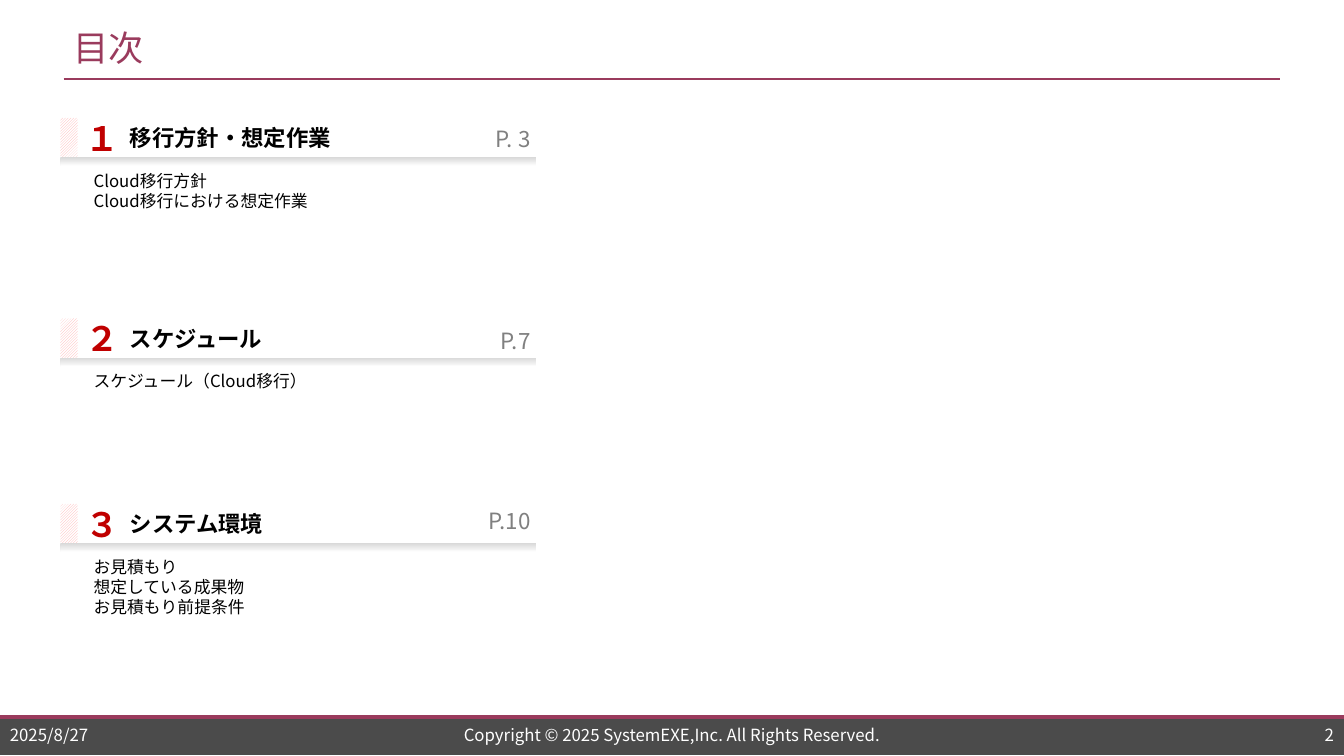
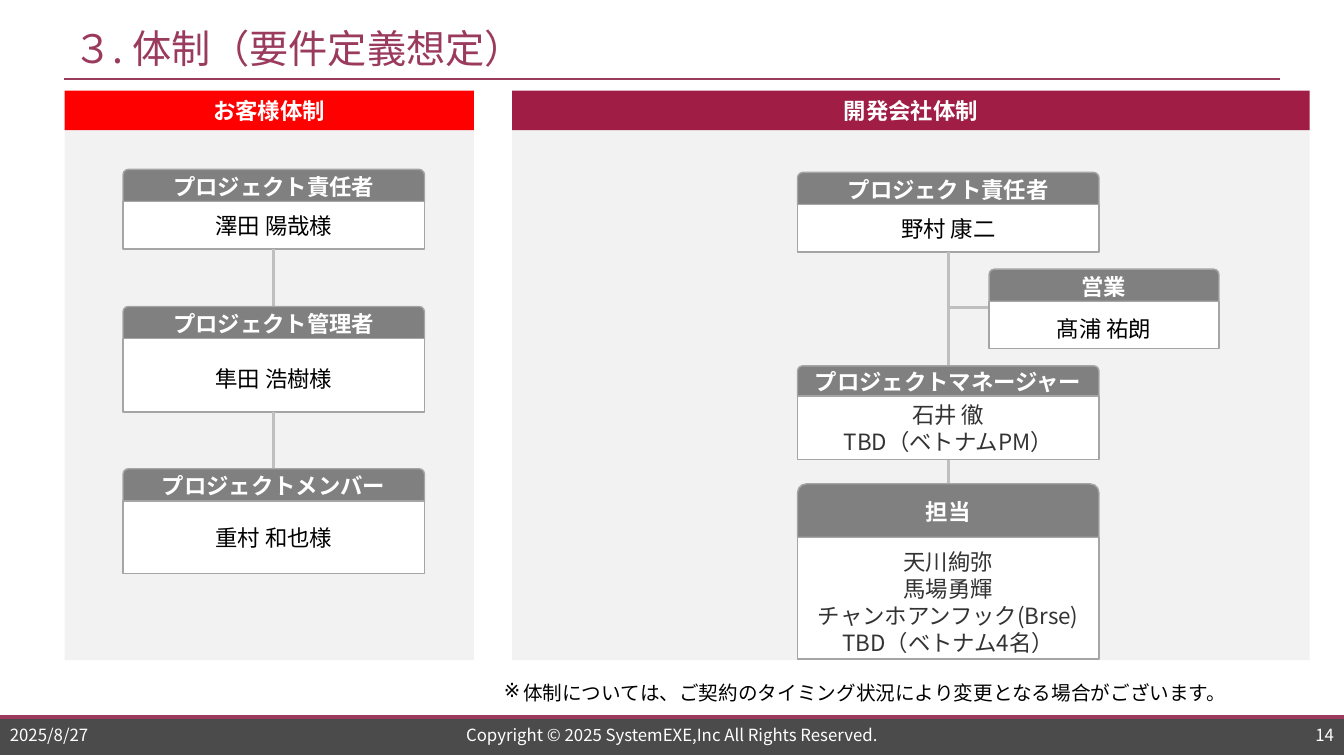
from dataclasses import dataclass

from lxml import etree
from pptx import Presentation
from pptx import util as u
from pptx.dml.color import RGBColor
from pptx.enum import dml, shapes, text
from pptx.oxml.ns import qn

ALIGN = text.PP_ALIGN
ANCHOR = text.MSO_ANCHOR
SHAPE = shapes.MSO_SHAPE


@dataclass(frozen=True)
class Theme:
    """Hold the colours, fonts and type sizes of the deck."""
    plum: str = "9A3B5D"
    crimson: str = "A01D45"
    red: str = "FF0000"
    number: str = "C00000"
    hatch: str = "FFAFAF"
    footer: str = "4B4B4B"
    panel: str = "F2F2F2"
    head: str = "808080"
    edge: str = "A5A5A5"
    link: str = "BFBFBF"
    shade: str = "D9D9D9"
    ink: str = "000000"
    soft_ink: str = "333333"
    white: str = "FFFFFF"
    sans: str = "Noto Sans CJK JP"
    latin: str = "Arial"
    title: float = 28
    numeral: float = 24
    label: float = 16
    note: float = 14
    small: float = 12
    leading: float = 1.2


T = Theme()


def rgb(value):
    """Turn a hex string into a colour."""
    return RGBColor.from_string(value)


def write(sp, lines, size, color, font=T.sans, bold=False, align=ALIGN.LEFT,
          anchor=ANCHOR.MIDDLE, insets=(0.1, 0.05, 0.1, 0.05), bullet=None):
    """Write one paragraph per line into a shape."""
    tf = sp.text_frame
    tf.word_wrap = True
    tf.vertical_anchor = anchor
    tf.margin_left, tf.margin_top, tf.margin_right, tf.margin_bottom = map(u.Inches, insets)
    for i, line in enumerate(lines):
        p = tf.add_paragraph() if i else tf.paragraphs[0]
        p.alignment = align
        if len(lines) > 1:
            p.line_spacing = u.Pt(size * T.leading)
        if bullet:
            pPr = p._p.get_or_add_pPr()
            pPr.set("marL", str(u.Inches(0.19)))
            pPr.set("indent", str(-u.Inches(0.19)))
            etree.SubElement(pPr, qn("a:buChar")).set("char", bullet)
        r = p.add_run()
        r.text = line
        r.font.size = u.Pt(size)
        r.font.bold = bold
        r.font.color.rgb = rgb(color)
        r.font.name = font
        r.font._element.find(qn("a:latin")).addnext(
            etree.Element(qn("a:ea"), typeface=T.sans))


def label(s, box, lines, size, color, **style):
    """Add a text box."""
    sp = s.shapes.add_textbox(*map(u.Inches, box))
    write(sp, lines, size, color, **style)
    return sp


def block(s, box, fill=None, edge=None, kind=SHAPE.RECTANGLE):
    """Add a flat shape."""
    sp = s.shapes.add_shape(kind, *map(u.Inches, box))
    sp.shadow.inherit = False
    if fill:
        sp.fill.solid()
        sp.fill.fore_color.rgb = rgb(fill)
    if edge:
        sp.line.color.rgb = rgb(edge)
        sp.line.width = u.Pt(1)
    else:
        sp.line.fill.background()
    return sp


def rule(s, start, end, color, width):
    """Add a straight line."""
    cx = s.shapes.add_connector(shapes.MSO_CONNECTOR.STRAIGHT,
                                *map(u.Inches, (*start, *end)))
    cx.line.color.rgb = rgb(color)
    cx.line.width = u.Pt(width)
    etree.SubElement(cx._element.spPr, qn("a:effectLst"))
    return cx


def new_slide(prs, title, title_size, notice, page):
    """Add a slide with its title, rules and footer."""
    s = prs.slides.add_slide(prs.slide_layouts[6])
    block(s, (0, 7.1, 13.33, 0.39), T.footer)
    rule(s, (0, 7.11), (13.33, 7.11), T.plum, 2.75)
    rule(s, (0.63, 0.78), (12.7, 0.78), T.plum, 1.5)
    label(s, (0.63, 0.2, 12.07, 0.55), [title], title_size, T.plum)
    for x, w, words, align in ((0, 1.57, "2025/8/27", ALIGN.LEFT),
                               (3.32, 6.69, notice, ALIGN.CENTER),
                               (11.76, 1.57, page, ALIGN.RIGHT)):
        label(s, (x, 7.17, w, 0.24), [words], T.small, T.white, align=align)
    return s


def chapter(s, x, y, number, name, page, page_shift, topics):
    """Draw one contents entry from its top left corner."""
    tab = block(s, (x, y, 0.17, 0.39))
    tab.fill.patterned()
    tab.fill.pattern = dml.MSO_PATTERN.DARK_UPWARD_DIAGONAL
    tab.fill.fore_color.rgb = rgb(T.hatch)
    tab.fill.back_color.rgb = rgb(T.white)
    label(s, (x + 0.15, y, 0.6, 0.39), [number], T.numeral, T.number, bold=True)
    label(s, (x + 0.59, y, 3, 0.39), [name], T.label, T.ink, font=T.latin, bold=True)
    shade = block(s, (x, y + 0.39, 4.72, 0.09))
    shade.fill.gradient()
    shade.fill.gradient_angle = 270
    for stop, color in zip(shade.fill.gradient_stops, (T.shade, T.white)):
        stop.color.rgb = rgb(color)
    label(s, (x + 0.23, y + 0.47, 4.5, 1.27), topics, T.small, T.ink, anchor=ANCHOR.TOP)
    label(s, (x + 3.76, y + page_shift, 1, 0.39), [page], T.label, T.head,
          align=ALIGN.RIGHT)


def panel(s, x, y, w, h, name, color):
    """Draw a team panel with its heading band."""
    block(s, (x, y + 0.38, w, h - 0.38), T.panel)
    write(block(s, (x, y, w, 0.39), color), [name], T.label, T.white,
          font=T.latin, bold=True, align=ALIGN.CENTER)


def card(s, box, role, names, head_h=0.32, ink=T.ink, pad=0.05):
    """Draw a role card and return its body."""
    x, y, w, h = box
    head = block(s, (x, y, w, head_h), T.head, T.edge, SHAPE.ROUND_2_SAME_RECTANGLE)
    write(head, [role], T.label, T.white, font=T.latin, bold=True,
          align=ALIGN.CENTER, insets=(0.04, 0.05, 0.04, 0.05))
    body = block(s, (x, y + head_h, w, h - head_h), T.white, T.edge)
    write(body, names, T.label, ink, font=T.latin if ink == T.ink else T.sans,
          align=ALIGN.CENTER, insets=(0.04, pad, 0.04, 0.05))
    return body


def chain(s, x, w, cards):
    """Draw a column of cards joined from top to bottom."""
    above = None
    for y, h, role, names, style in cards:
        if above is not None:
            mid = x + w / 2
            cx = rule(s, (mid, y - 0.1), (mid, y), T.link, 2.25)
            cx.begin_connect(above, 2)
        above = card(s, (x, y, w, h), role, names, **style)


def contents_slide(prs):
    """Build the table of contents."""
    s = new_slide(prs, "目次", 25.2,
                  "Copyright © 2025 SystemEXE,Inc. All Rights Reserved.", "2")
    for y, *entry in (
            (1.17, "１", "移行方針・想定作業", "P. 3", 0.01,
             ["Cloud移行方針", "Cloud移行における想定作業"]),
            (3.16, "２", "スケジュール", "P.7", 0.02, ["スケジュール（Cloud移行）"]),
            (5, "３", "システム環境", "P.10", -0.03,
             ["お見積もり", "想定している成果物", "お見積もり前提条件"])):
        chapter(s, 0.6, y, *entry)


def team_slide(prs):
    """Build the project organisation chart."""
    s = new_slide(prs, "３. 体制（要件定義想定）", T.title,
                  "Copyright © 2025 SystemEXE,Inc All Rights Reserved.", "14")
    panel(s, 0.64, 0.9, 4.06, 5.65, "お客様体制", T.red)
    panel(s, 5.08, 0.9, 7.91, 5.65, "開発会社体制", T.crimson)
    chain(s, 1.22, 2.99, (
        (1.68, 0.79, "プロジェクト責任者", ["澤田 陽哉様"], {}),
        (3.04, 1.05, "プロジェクト管理者", ["隼田 浩樹様"], {"pad": 0.12}),
        (4.65, 1.04, "プロジェクトメンバー", ["重村 和也様"], {})))
    chain(s, 7.91, 2.99, (
        (1.71, 0.79, "プロジェクト責任者", ["野村 康二"], {}),
        (3.63, 0.93, "プロジェクトマネージャー", ["石井 徹", "TBD（ベトナムPM）"],
         {"head_h": 0.3, "ink": T.soft_ink}),
        (4.8, 1.74, "担当",
         ["天川絢弥", "馬場勇輝", "チャンホアンフック(Brse)", "TBD（ベトナム4名）"],
         {"head_h": 0.53, "ink": T.soft_ink, "pad": 0.12})))
    rule(s, (9.4, 3.05), (9.81, 3.05), T.link, 2.25)
    card(s, (9.81, 2.67, 2.28, 0.79), "営業", ["髙浦 祐朗"], pad=0.12)
    label(s, (4.9, 6.71, 7.8, 0.44),
          ["体制については、ご契約のタイミング状況により変更となる場合がございます。"],
          T.note, T.ink, anchor=ANCHOR.TOP, bullet="※")


def main():
    """Build and save the deck."""
    prs = Presentation()
    prs.slide_width, prs.slide_height = u.Inches(13.33), u.Inches(7.5)
    contents_slide(prs)
    team_slide(prs)
    prs.save("out.pptx")


if __name__ == "__main__":
    main()
